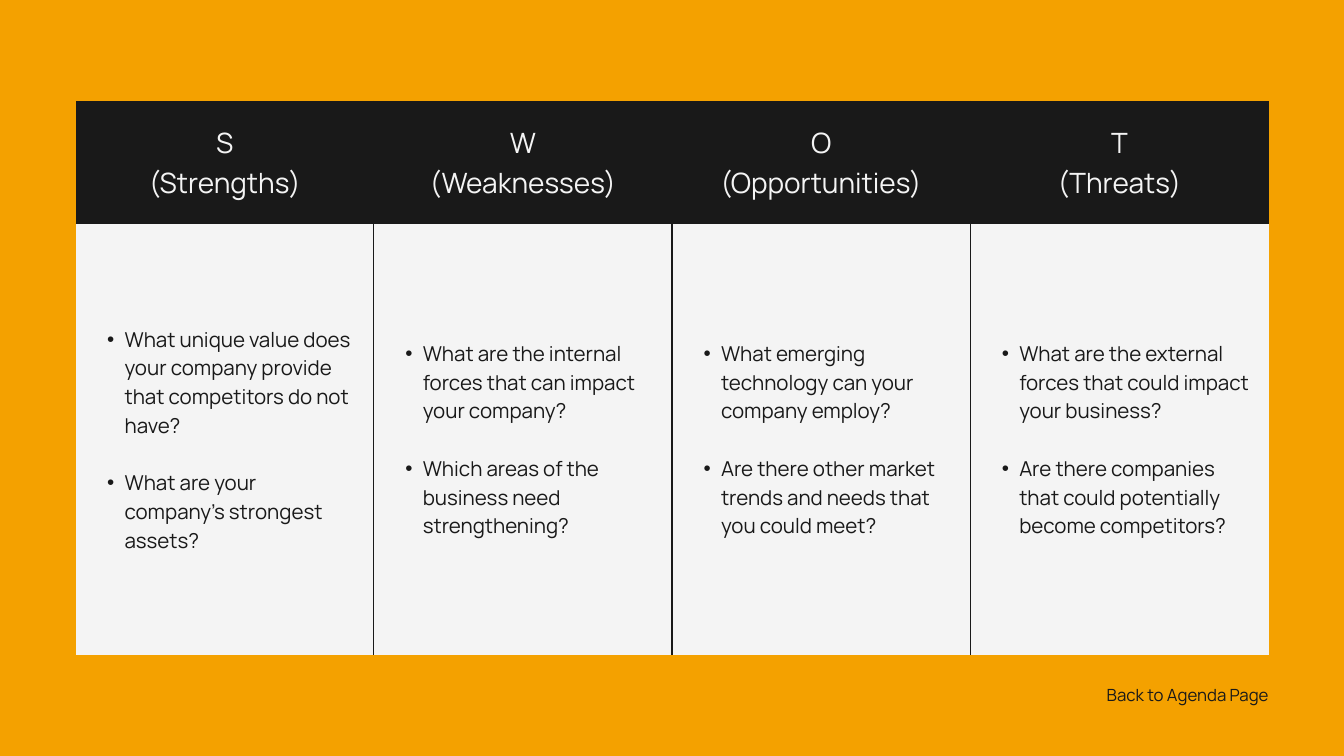
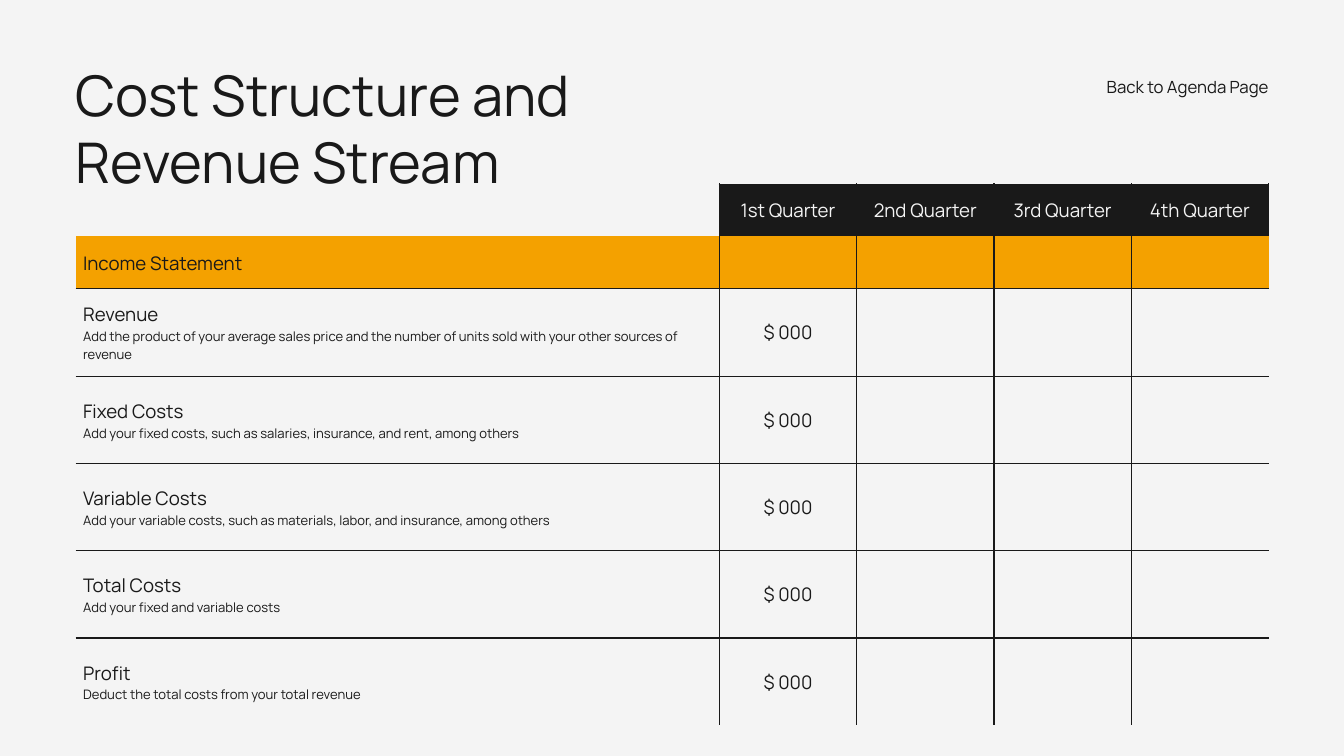
from typing import NamedTuple

from lxml.etree import SubElement
from pptx import Presentation
from pptx.dml.color import RGBColor
from pptx.enum.text import MSO_ANCHOR, MSO_AUTO_SIZE, PP_ALIGN
from pptx.oxml import parse_xml
from pptx.oxml.ns import nsdecls, qn
from pptx.util import Cm, Pt

AMBER = RGBColor(0xF4, 0xA1, 0x00)
INK = RGBColor(0x19, 0x19, 0x19)
PAPER = RGBColor(0xF4, 0xF4, 0xF4)
FONT = "Manrope"
NO_STYLE = "{2D5ABB26-0587-4C30-8999-92F81FD0307C}"

LEFT, WIDTH = 2.86, 45.09
RIGHT = LEFT + WIDTH
RULE = 1.5
LEADING = 1.4


class Topic(NamedTuple):
    letter: str
    name: str
    asks: tuple[str, str]


class Entry(NamedTuple):
    name: str
    note: str


TOPICS = (
    Topic("S", "(Strengths)", (
        "What unique value does your company provide that competitors do not have?",
        "What are your company's strongest assets?")),
    Topic("W", "(Weaknesses)", (
        "What are the internal forces that can impact your company?",
        "Which areas of the business need strengthening?")),
    Topic("O", "(Opportunities)", (
        "What emerging technology can your company employ?",
        "Are there other market trends and needs that you could meet?")),
    Topic("T", "(Threats)", (
        "What are the external forces that could impact your business?",
        "Are there companies that could potentially become competitors?")),
)

QUARTERS = ("1st Quarter", "2nd Quarter", "3rd Quarter", "4th Quarter")

ENTRIES = (
    Entry("Revenue", "Add the product of your average sales price and the number "
          "of units sold with your other sources of revenue"),
    Entry("Fixed Costs", "Add your fixed costs, such as salaries, insurance, and rent, "
          "among others"),
    Entry("Variable Costs", "Add your variable costs, such as materials, labor, and "
          "insurance, among others"),
    Entry("Total Costs", "Add your fixed and variable costs"),
    Entry("Profit", "Deduct the total costs from your total revenue"),
)


def add_bullet(para) -> None:
    props = para._p.get_or_add_pPr()
    props.set("marL", str(Cm(1.32)))
    props.set("indent", str(-Cm(0.66)))
    SubElement(props, qn("a:buFont")).set("typeface", "Arial")
    SubElement(props, qn("a:buChar")).set("char", "•")


def write(frame, text: str, *, size: float, color: RGBColor = INK,
          align: PP_ALIGN = PP_ALIGN.LEFT, leading: float = LEADING,
          bullet: bool = False, before: float = 0) -> None:
    """Put text in the next free paragraph of the frame."""
    para = frame.add_paragraph() if frame.text else frame.paragraphs[0]
    if bullet:
        add_bullet(para)
        para.level = 1
    para.alignment = align
    para.line_spacing = Pt(size * leading)
    if before:
        para.space_before = Pt(before)
    run = para.add_run()
    run.text = text
    run.font.size = Pt(size)
    run.font.name = FONT
    run.font.color.rgb = color


def add_box(slide, left: float, top: float, width: float, height: float):
    box = slide.shapes.add_textbox(Cm(left), Cm(top), Cm(width), Cm(height))
    frame = box.text_frame
    frame.margin_left = frame.margin_right = 0
    frame.margin_top = frame.margin_bottom = 0
    frame.word_wrap = True
    frame.auto_size = MSO_AUTO_SIZE.SHAPE_TO_FIT_TEXT
    return frame


def add_back(slide, top: float, width: float) -> None:
    frame = add_box(slide, RIGHT - width, top, width, 0.91)
    write(frame, "Back to Agenda Page", size=18, align=PP_ALIGN.RIGHT)


def add_slide(deck, color: RGBColor):
    slide = deck.slides.add_slide(deck.slide_layouts[6])
    slide.background.fill.solid()
    slide.background.fill.fore_color.rgb = color
    return slide


def set_rules(cell, sides: str) -> None:
    """Rule the sides named by letter (L, R, T, B) and clear the others."""
    props = cell._tc.get_or_add_tcPr()
    for spot, side in enumerate("LRTB"):
        fill = (f'<a:solidFill><a:srgbClr val="{INK}"/></a:solidFill>'
                if side in sides else "<a:noFill/>")
        props.insert(spot, parse_xml(
            f'<a:ln{side} {nsdecls("a")} w="{Pt(RULE)}">{fill}</a:ln{side}>'))


def paint(cell, color: RGBColor) -> None:
    cell.fill.solid()
    cell.fill.fore_color.rgb = color


def add_grid(slide, top: float, cols: list[float], rows: list[float], pad: float):
    """Add an unfilled table with the given cell padding."""
    table = slide.shapes.add_table(len(rows), len(cols), Cm(LEFT), Cm(top),
                                   Cm(sum(cols)), Cm(sum(rows))).table
    table.first_row = table.horz_banding = False
    table._tbl.tblPr.find(qn("a:tableStyleId")).text = NO_STYLE
    for col, width in zip(table.columns, cols):
        col.width = Cm(width)
    for row, height in zip(table.rows, rows):
        row.height = Cm(height)
    for cell in table.iter_cells():
        cell.margin_left = cell.margin_right = Cm(pad)
        cell.margin_top = cell.margin_bottom = Cm(pad)
        cell.vertical_anchor = MSO_ANCHOR.MIDDLE
        cell.fill.background()
    return table


def inner(row: int, col: int, rows: int, cols: int) -> str:
    """Name the sides of a cell that lie inside the table."""
    tests = {"L": col > 0, "R": col < cols - 1, "T": row > 0, "B": row < rows - 1}
    return "".join(side for side, inside in tests.items() if inside)


def build_swot(deck) -> None:
    slide = add_slide(deck, AMBER)
    count = len(TOPICS)
    table = add_grid(slide, 3.81, [WIDTH / count] * count, [4.65, 16.3], 0.53)
    for col, topic in enumerate(TOPICS):
        head, body = table.cell(0, col), table.cell(1, col)
        for row, (cell, color) in enumerate(((head, INK), (body, PAPER))):
            paint(cell, color)
            set_rules(cell, inner(row, col, 2, count))
        for text in (topic.letter, topic.name):
            write(head.text_frame, text, size=30, color=PAPER, align=PP_ALIGN.CENTER)
        for gap, ask in zip((0, 30.8), topic.asks):
            write(body.text_frame, ask, size=22, bullet=True, before=gap)
    add_back(slide, 25.76, 17.58)


def build_costs(deck) -> None:
    slide = add_slide(deck, PAPER)
    label, count = 24.33, len(QUARTERS)
    cols = [label] + [(WIDTH - label) / count] * count
    rows = [1.98] * 2 + [3.3] * len(ENTRIES)
    table = add_grid(slide, 6.96, cols, rows, 0.28)

    for row in range(1, len(rows)):
        for col in range(len(cols)):
            sides = inner(row, col, len(rows), len(cols))
            set_rules(table.cell(row, col), sides.replace("T", "") if row == 1 else sides)

    paint(table.cell(0, 0), PAPER)
    set_rules(table.cell(0, 0), "R")
    for col, quarter in enumerate(QUARTERS, 1):
        cell = table.cell(0, col)
        paint(cell, INK)
        set_rules(cell, "LRT")
        write(cell.text_frame, quarter, size=20, color=PAPER, align=PP_ALIGN.CENTER)

    for col in range(len(cols)):
        paint(table.cell(1, col), AMBER)
    write(table.cell(1, 0).text_frame, "Income Statement", size=20)

    for row, entry in enumerate(ENTRIES, 2):
        frame = table.cell(row, 0).text_frame
        write(frame, entry.name, size=20)
        write(frame, entry.note, size=14)
        write(table.cell(row, 1).text_frame, "$ 000", size=20, align=PP_ALIGN.CENTER)

    title = add_box(slide, LEFT, 2.29, 22.56, 5.26)
    write(title, "Cost Structure and Revenue Stream", size=60, leading=1.2)
    add_back(slide, 2.79, 12.34)


def main() -> None:
    deck = Presentation()
    deck.slide_width, deck.slide_height = Cm(50.8), Cm(28.58)
    build_swot(deck)
    build_costs(deck)
    deck.save("out.pptx")


if __name__ == "__main__":
    main()
